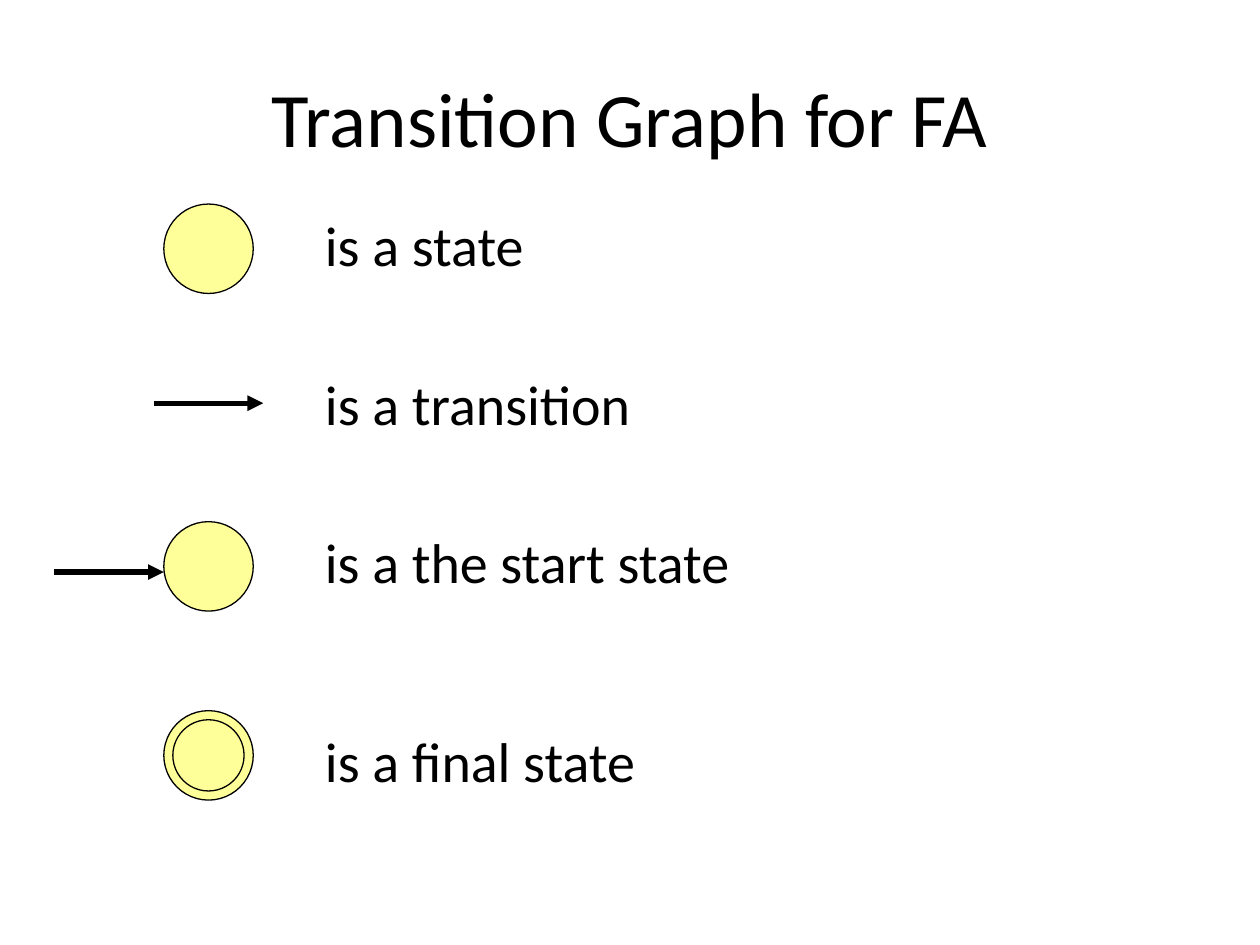
"""Build a slide that explains the symbols of a transition graph."""
from dataclasses import dataclass
from typing import Any, Optional

from lxml import etree
from pptx import Presentation
from pptx.dml.color import RGBColor
from pptx.enum.shapes import MSO_CONNECTOR, MSO_SHAPE
from pptx.enum.text import MSO_ANCHOR, MSO_AUTO_SIZE, PP_ALIGN
from pptx.oxml.ns import qn
from pptx.util import Pt

OVAL = MSO_SHAPE.OVAL
LINE = MSO_CONNECTOR.STRAIGHT
MIDDLE, TOP = MSO_ANCHOR.MIDDLE, MSO_ANCHOR.TOP
FIT = MSO_AUTO_SIZE.SHAPE_TO_FIT_TEXT
NONE = MSO_AUTO_SIZE.NONE
LEFT, CENTER = PP_ALIGN.LEFT, PP_ALIGN.CENTER


@dataclass(frozen=True)
class Theme:
    font: str = "Calibri"
    ink: RGBColor = RGBColor(0, 0, 0)
    state: RGBColor = RGBColor(0xFF, 0xFF, 0x99)
    title: float = 44
    label: float = 32
    thin: float = 0.75
    thick: float = 3


@dataclass(frozen=True)
class Entry:
    text: str
    top: float
    width: float
    ring: Optional[float] = None
    inner: bool = False
    arrow: Optional[tuple[float, float]] = None


THEME = Theme()
RING_X, RING, INSET = 93.6, 51.1, 5.2
ARROW = 62.6
LABEL_X, LABEL_H = 178.6, 45.4
ENTRIES = (
    Entry("is a state", 116.6, 141.8, ring=116.6),
    Entry("is a transition", 207.4, 202.3, arrow=(87.8, 230.4)),
    Entry("is a the start state", 298.1, 266.4, ring=298.1,
          arrow=(RING_X - ARROW, 326.9)),
    Entry("is a final state", 411.8, 209.5, ring=406.1, inner=True),
)


def write(shape: Any, text: str, *, size: float, align: Any = LEFT,
          anchor: Any = TOP, wrap: bool = False, fit: Any = FIT) -> None:
    frame = shape.text_frame
    frame.text = text
    frame.word_wrap = wrap
    frame.auto_size = fit
    frame.vertical_anchor = anchor
    line = frame.paragraphs[0]
    line.alignment = align
    font = line.runs[0].font
    font.name = THEME.font
    font.size = Pt(size)
    font.color.rgb = THEME.ink


def draw_ring(shapes: Any, left: float, top: float, size: float) -> None:
    ring = shapes.add_shape(OVAL, Pt(left), Pt(top), Pt(size), Pt(size))
    ring.shadow.inherit = False
    ring.fill.solid()
    ring.fill.fore_color.rgb = THEME.state
    ring.line.color.rgb = THEME.ink
    ring.line.width = Pt(THEME.thin)


def draw_arrow(shapes: Any, left: float, top: float) -> None:
    arrow = shapes.add_connector(LINE, Pt(left), Pt(top), Pt(left + ARROW), Pt(top))
    arrow.line.color.rgb = THEME.ink
    arrow.line.width = Pt(THEME.thick)
    etree.SubElement(arrow.line._get_or_add_ln(), qn("a:tailEnd"), type="triangle")
    etree.SubElement(arrow._element.spPr, qn("a:effectLst"))


def draw_entry(shapes: Any, entry: Entry) -> None:
    if entry.ring is not None:
        home = shapes.add_group_shape().shapes if entry.inner else shapes
        draw_ring(home, RING_X, entry.ring, RING)
        if entry.inner:
            draw_ring(home, RING_X + INSET, entry.ring + INSET, RING - 2 * INSET)
    if entry.arrow:
        draw_arrow(shapes, *entry.arrow)
    label = shapes.add_textbox(Pt(LABEL_X), Pt(entry.top), Pt(entry.width), Pt(LABEL_H))
    write(label, entry.text, size=THEME.label)


def main() -> None:
    deck = Presentation()
    deck.slide_width, deck.slide_height = Pt(720), Pt(540)
    shapes = deck.slides.add_slide(deck.slide_layouts[5]).shapes
    title = shapes.title
    title.left, title.top = Pt(36), Pt(21.6)
    title.width, title.height = Pt(648), Pt(90)
    write(title, "Transition Graph for FA", size=THEME.title, align=CENTER,
          anchor=MIDDLE, wrap=True, fit=NONE)
    for entry in ENTRIES:
        draw_entry(shapes, entry)
    deck.save("out.pptx")


if __name__ == "__main__":
    main()
